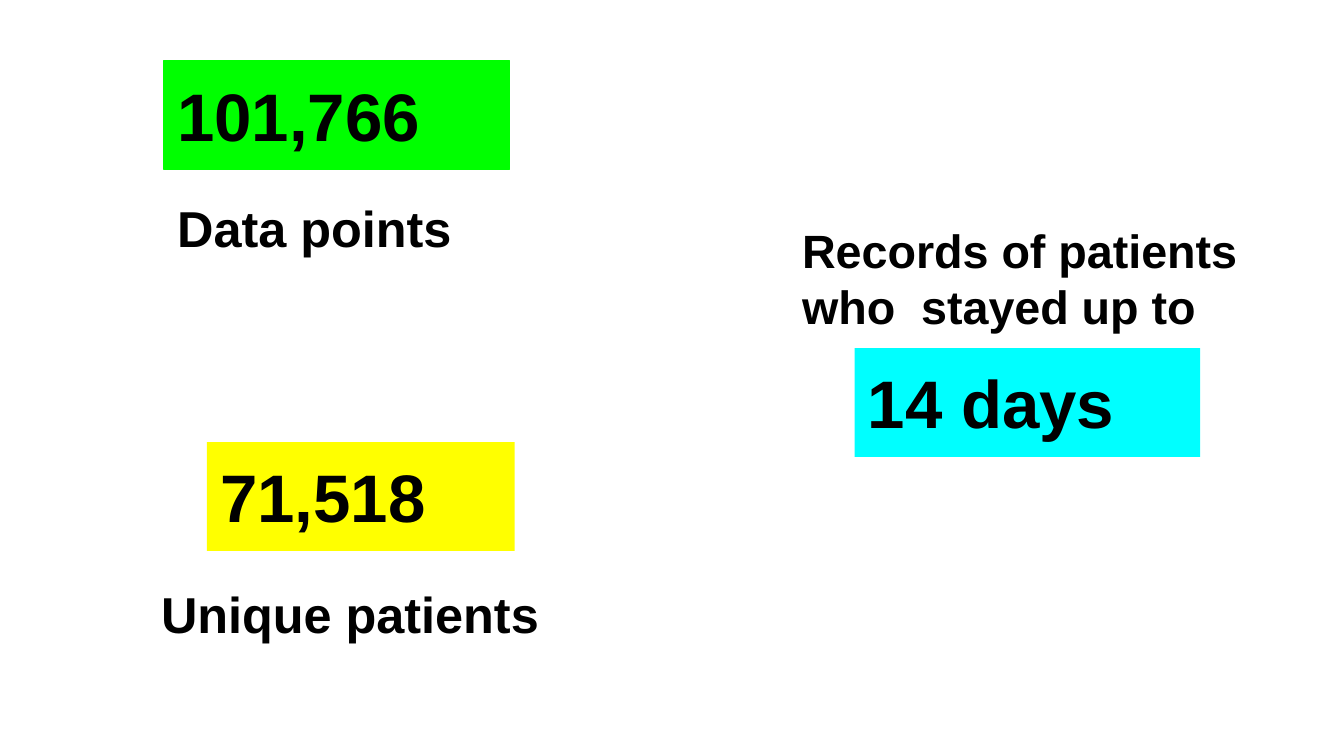
"""Build a slide of three headline figures about patient records."""

from dataclasses import dataclass
from typing import Optional

from pptx import Presentation
from pptx.dml.color import RGBColor
from pptx.enum.shapes import MSO_SHAPE
from pptx.enum.text import MSO_ANCHOR, MSO_AUTO_SIZE, PP_ALIGN
from pptx.util import Inches, Pt

CELL = Inches(0.1)
COLUMNS, ROWS = 100, 56.25
INSET = CELL
FIGURE_HEIGHT, FIGURE_SIZE = 8.1, 36
COLORS = {"text": "000000", "points": "00FF00", "patients": "FFFF00", "stay": "00FFFF"}


@dataclass(frozen=True)
class Block:
    text: str
    column: float
    row: float
    columns: float
    rows: float = FIGURE_HEIGHT
    size: int = FIGURE_SIZE
    fill: Optional[str] = None
    outlined: bool = False


BLOCKS = [
    Block("101,766", 12.2, 4.5, 25.7, fill="points", outlined=True),
    Block("71,518 ", 15.4, 32.9, 22.9, fill="patients"),
    Block("Data points", 12.2, 13.7, 32.8, 6.6, 27),
    Block("Unique patients", 11, 42.4, 35.2, 6.6, 27),
    Block("Records of patients who  stayed up to", 58.7, 15.5, 39.4, 10.4, 25),
    Block("14 days", 63.6, 25.9, 25.7, fill="stay"),
]


def grid(count: float) -> int:
    return round(count * CELL)


def color(name: str) -> RGBColor:
    return RGBColor.from_string(COLORS[name])


def write_text(shape, block: Block) -> None:
    frame = shape.text_frame
    frame.word_wrap = True
    frame.auto_size = MSO_AUTO_SIZE.SHAPE_TO_FIT_TEXT
    frame.vertical_anchor = MSO_ANCHOR.TOP
    frame.margin_left = frame.margin_right = INSET
    frame.margin_top = frame.margin_bottom = INSET
    paragraph = frame.paragraphs[0]
    paragraph.text = block.text
    paragraph.alignment = PP_ALIGN.LEFT
    paragraph.font.name = "Arial"
    paragraph.font.size = Pt(block.size)
    paragraph.font.bold = True
    paragraph.font.color.rgb = color("text")


def draw_block(slide, block: Block) -> None:
    bounds = [grid(n) for n in (block.column, block.row, block.columns, block.rows)]
    if block.fill is None:
        shape = slide.shapes.add_textbox(*bounds)
    else:
        shape = slide.shapes.add_shape(MSO_SHAPE.RECTANGLE, *bounds)
        shape.shadow.inherit = False
        shape.fill.solid()
        shape.fill.fore_color.rgb = color(block.fill)
        if block.outlined:
            shape.line.color.rgb = color(block.fill)
            shape.line.width = Pt(0.75)
        else:
            shape.line.fill.background()
    write_text(shape, block)


def main() -> None:
    presentation = Presentation()
    presentation.slide_width = grid(COLUMNS)
    presentation.slide_height = grid(ROWS)
    slide = presentation.slides.add_slide(presentation.slide_layouts[6])
    for block in BLOCKS:
        draw_block(slide, block)
    presentation.save("out.pptx")


if __name__ == "__main__":
    main()
